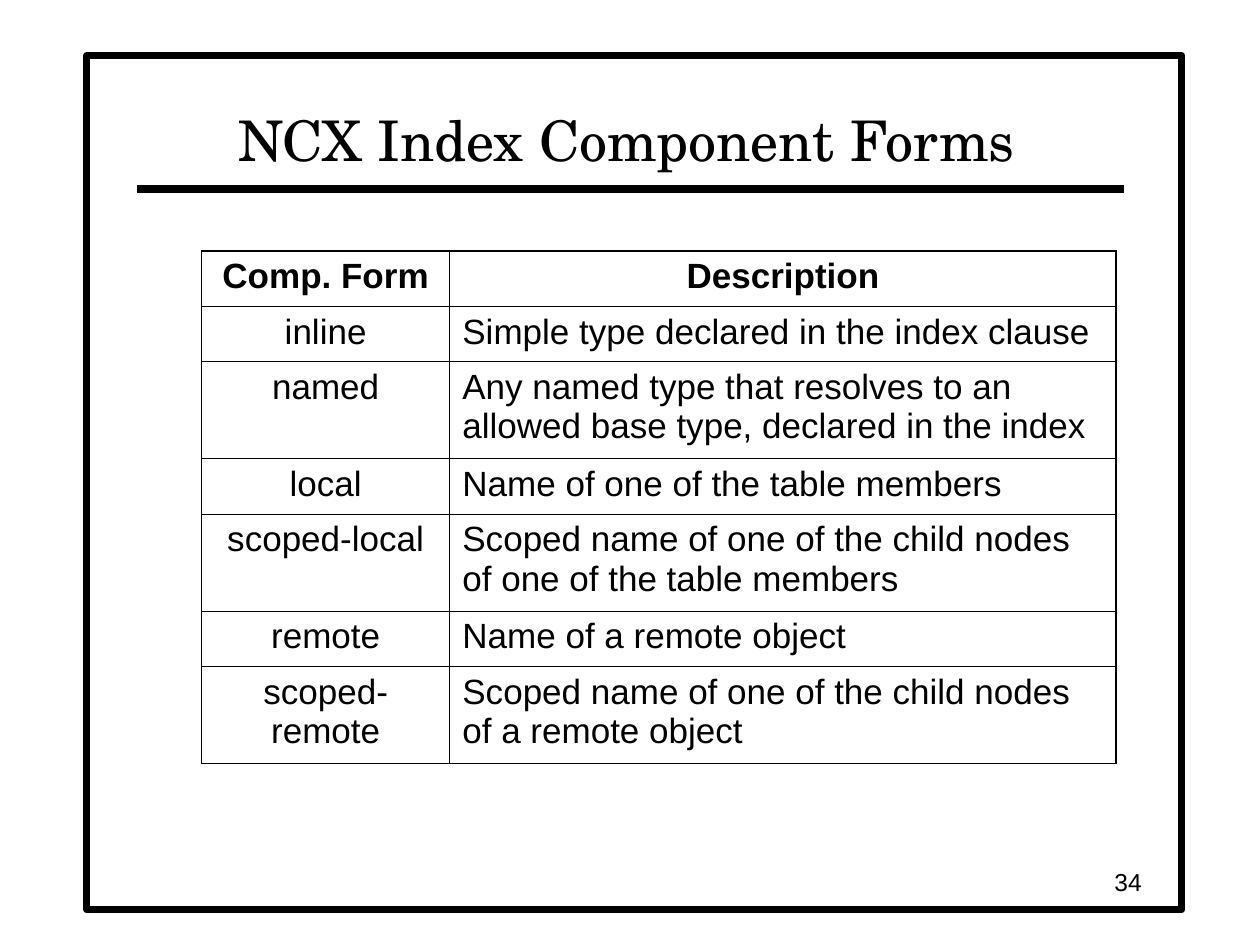
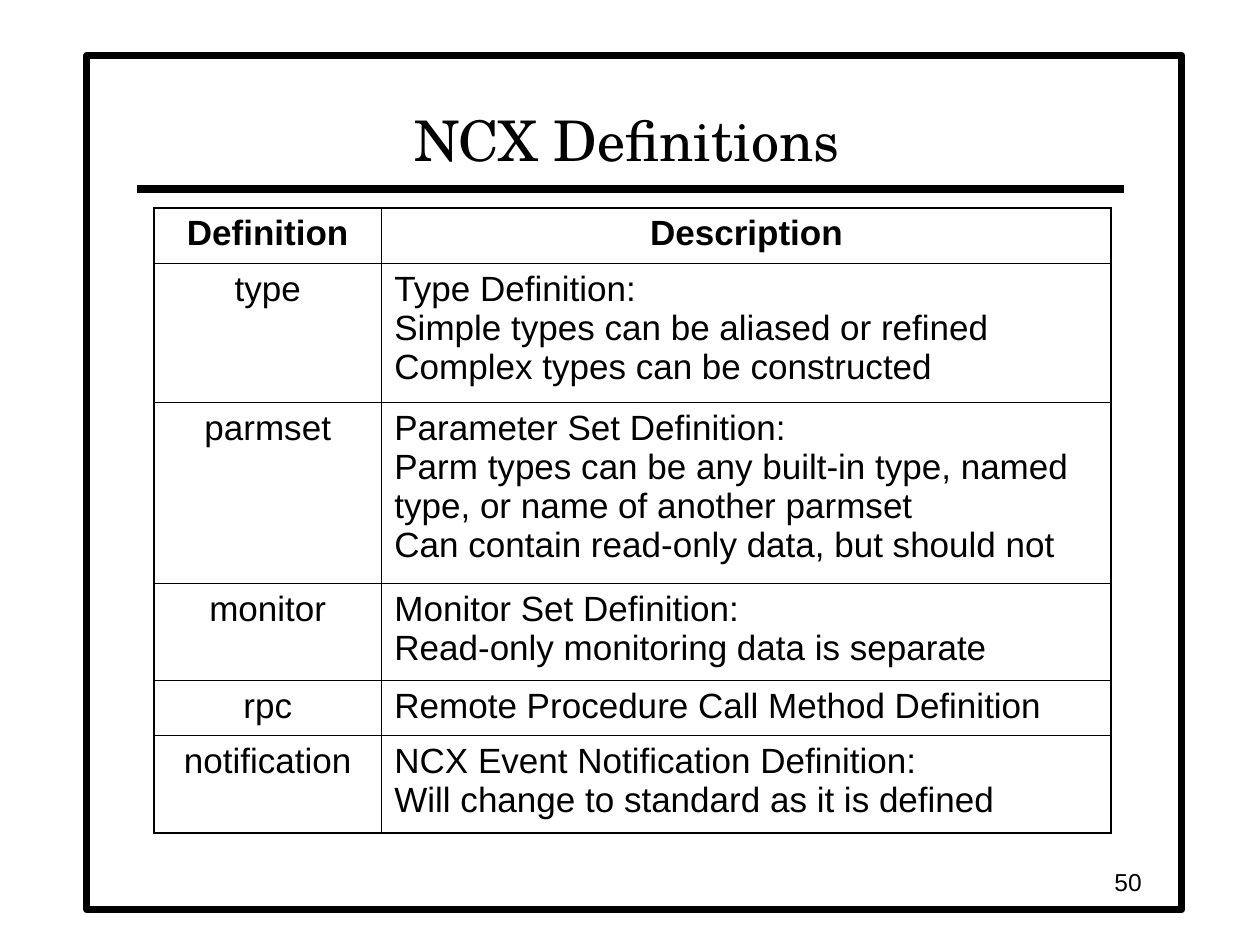
"""Build two NCX slides, each with a framed page and a ruled table."""
from lxml import etree
from pptx import Presentation
from pptx.dml.color import RGBColor
from pptx.enum.shapes import MSO_CONNECTOR, MSO_SHAPE
from pptx.enum.text import MSO_ANCHOR, PP_ALIGN
from pptx.oxml.ns import qn
from pptx.util import Inches, Pt

RECTANGLE = MSO_SHAPE.RECTANGLE
STRAIGHT = MSO_CONNECTOR.STRAIGHT
LEFT, CENTER, RIGHT = PP_ALIGN.LEFT, PP_ALIGN.CENTER, PP_ALIGN.RIGHT
MIDDLE, BOTTOM = MSO_ANCHOR.MIDDLE, MSO_ANCHOR.BOTTOM

COLORS = {"ink": "000000", "paper": "FFFFFF"}
TITLE_FONT, BODY_FONT = "TeX Gyre Schola", "Arial"
OUTER_BORDER, INNER_BORDER = Pt(1.08), Pt(0.45)
ROW_HEIGHTS = {1: 0.44, 2: 0.77, 3: 1.1, 4: 1.44}

COMPONENT_FORMS = [
    (1, "Comp. Form", "Description"),
    (1, "inline", "Simple type declared in the index clause"),
    (2, "named", "Any named type that resolves to an allowed base type, declared in the index"),
    (1, "local", "Name of one of the table members"),
    (2, "scoped-local", "Scoped name of one of the child nodes of one of the table members"),
    (1, "remote", "Name of a remote object"),
    (2, "scoped-remote", "Scoped name of one of the child nodes of a remote object"),
]
DEFINITIONS = [
    (1, "Definition", "Description"),
    (3, "type", "Type Definition:\nSimple types can be aliased or refined\n"
                "Complex types can be constructed"),
    (4, "parmset", "Parameter Set Definition:\n"
                   "Parm types can be any built-in type, named type, or name of another parmset\n"
                   "Can contain read-only data, but should not"),
    (2, "monitor", "Monitor Set Definition:\nRead-only monitoring data is separate"),
    (1, "rpc", "Remote Procedure Call Method Definition"),
    (2, "notification", "NCX Event Notification Definition:\n"
                        "Will change to standard as it is defined"),
]


def color(name):
    """Return a named colour."""
    return RGBColor.from_string(COLORS[name])


def write(para, text, font, size, align, bold=False):
    """Write text into a paragraph, one run for each line."""
    para.alignment = align
    for index, line in enumerate(text.split("\n")):
        if index:
            para.add_line_break()
        span = para.add_run()
        span.text = line
        span.font.name = font
        span.font.size = Pt(size)
        span.font.bold = bold
        span.font.color.rgb = color("ink")


def add_text(page, bounds, text, font, size, align, anchor):
    """Add a one-paragraph text box."""
    box = page.shapes.add_textbox(*map(Inches, bounds))
    box.text_frame.word_wrap = True
    box.text_frame.vertical_anchor = anchor
    write(box.text_frame.paragraphs[0], text, font, size, align)


def add_frame(page):
    """Add the page border and the rule under the title."""
    border = page.shapes.add_shape(RECTANGLE, *map(Inches, (0.69, 0.44, 8.69, 6.78)))
    border.shadow.inherit = False
    border.fill.solid()
    border.fill.fore_color.rgb = color("paper")
    rule = page.shapes.add_connector(STRAIGHT, *map(Inches, (1.09, 1.5, 8.92, 1.5)))
    etree.SubElement(rule._element.spPr, qn("a:effectLst"))
    for shape, width in ((border, 4), (rule, 4.5)):
        shape.line.color.rgb = color("ink")
        shape.line.width = Pt(width)


def set_borders(cell, outer_sides):
    """Draw all four cell borders, heavier on the outer sides."""
    properties = cell._tc.get_or_add_tcPr()
    for side in "LRTB":
        width = OUTER_BORDER if side in outer_sides else INNER_BORDER
        line = etree.SubElement(properties, qn(f"a:ln{side}"), w=str(int(width)))
        fill = etree.SubElement(line, qn("a:solidFill"))
        etree.SubElement(fill, qn("a:srgbClr"), val=COLORS["ink"])


def add_ruled_table(page, left, top, widths, rows):
    """Add a two-column table whose row heights follow the line counts."""
    heights = [ROW_HEIGHTS[lines] for lines, *_ in rows]
    table = page.shapes.add_table(
        len(rows), len(widths), Inches(left), Inches(top),
        Inches(sum(widths)), Inches(sum(heights))).table
    table.horz_banding = False
    for column, width in zip(table.columns, widths):
        column.width = Inches(width)
    for row_index, (_, *texts) in enumerate(rows):
        table.rows[row_index].height = Inches(heights[row_index])
        header = row_index == 0
        for column_index, text in enumerate(texts):
            cell = table.cell(row_index, column_index)
            outer = "L" if column_index == 0 else "R"
            outer += "T" if header else ""
            outer += "B" if row_index == len(rows) - 1 else ""
            set_borders(cell, outer)
            cell.fill.solid()
            cell.fill.fore_color.rgb = color("paper")
            para = cell.text_frame.paragraphs[0]
            para.space_before = Pt(5)
            align = CENTER if header or column_index == 0 else LEFT
            write(para, text, BODY_FONT, 20, align, header)


def add_page(deck, title, number):
    """Add a slide with the shared frame, title and page number."""
    page = deck.slides.add_slide(deck.slide_layouts[6])
    add_frame(page)
    add_text(page, (1.08, 0.5, 7.79, 0.92), title, TITLE_FONT, 32, CENTER, BOTTOM)
    add_text(page, (7.08, 6.83, 2.08, 0.33), str(number), BODY_FONT, 14, RIGHT, MIDDLE)
    return page


def main():
    """Build and save the deck."""
    deck = Presentation()
    deck.slide_width, deck.slide_height = Inches(10), Inches(7.5)
    page = add_page(deck, "NCX Index Component Forms", 34)
    add_ruled_table(page, 1.6, 1.99, (1.97, 5.29), COMPONENT_FORMS)
    page = add_page(deck, "NCX Definitions", 50)
    add_ruled_table(page, 1.22, 1.65, (1.81, 5.79), DEFINITIONS)
    deck.save("out.pptx")


if __name__ == "__main__":
    main()
